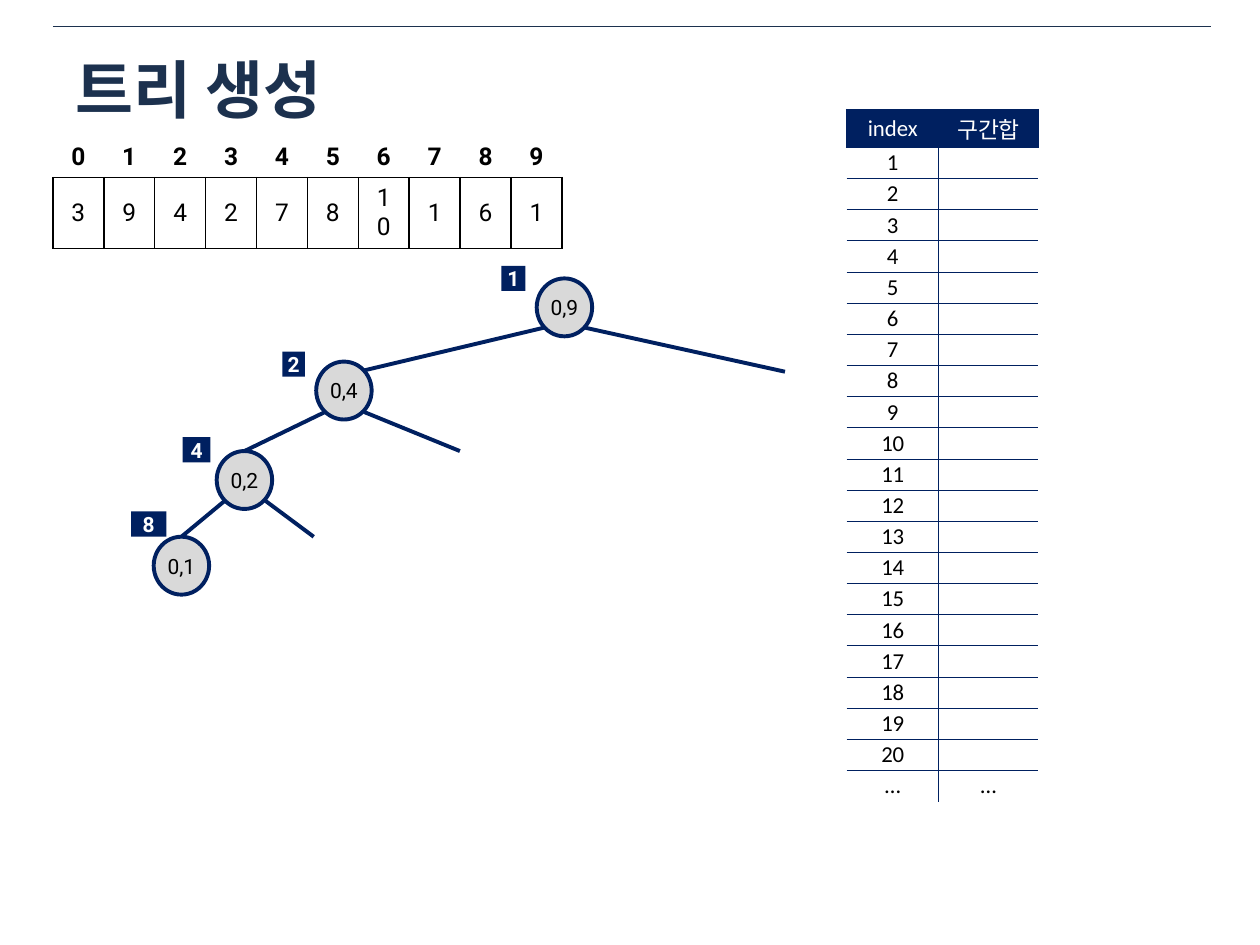
from lxml import etree
from pptx import Presentation
from pptx.dml.color import RGBColor
from pptx.enum.shapes import MSO_CONNECTOR, MSO_SHAPE
from pptx.enum.text import MSO_ANCHOR, MSO_AUTO_SIZE, PP_ALIGN
from pptx.oxml.ns import qn
from pptx.util import Inches, Pt

STRAIGHT = MSO_CONNECTOR.STRAIGHT
OVAL, RECT = MSO_SHAPE.OVAL, MSO_SHAPE.RECTANGLE
MIDDLE = MSO_ANCHOR.MIDDLE
GROW = MSO_AUTO_SIZE.SHAPE_TO_FIT_TEXT
LEFT, CENTER = PP_ALIGN.LEFT, PP_ALIGN.CENTER

NAVY = RGBColor(0x00, 0x20, 0x60)
SLATE = RGBColor(0x1C, 0x31, 0x4E)
GRAY = RGBColor(0xD9, 0xD9, 0xD9)
BLACK = RGBColor(0, 0, 0)
WHITE = RGBColor(255, 255, 255)
PLAIN = "{2D5ABB26-0587-4C30-8999-92F81FD0307C}"


def write(frame, text, size, font, color, bold=False, align=CENTER):
    para = frame.paragraphs[0]
    para.alignment = align
    run = para.add_run()
    run.text = text
    run.font.size = Pt(size)
    run.font.name = font
    run.font.bold = bold
    run.font.color.rgb = color
    return run


def edge(cell, sides, color):
    props = cell._tc.get_or_add_tcPr()
    for side in "LRTB":
        if side in sides:
            line = etree.SubElement(props, qn("a:ln" + side), w=str(Pt(sides[side])))
            fill = etree.SubElement(line, qn("a:solidFill"))
            etree.SubElement(fill, qn("a:srgbClr"), val=str(color))


prs = Presentation()
prs.slide_width, prs.slide_height = Inches(10), Inches(7.5)
slide = prs.slides.add_slide(prs.slide_layouts[5])
shapes = slide.shapes

title = shapes.title
title.left, title.top = Inches(0.5), Inches(0.33)
title.width, title.height = Inches(9), Inches(0.75)
title.text_frame.vertical_anchor = MIDDLE
head = write(title.text_frame, "트리 생성", 36, "Noto Sans CJK KR", SLATE, True, LEFT)
etree.SubElement(head.font._element, qn("a:ea"), typeface="Noto Sans CJK KR")

values = [3, 9, 4, 2, 7, 8, 10, 1, 6, 1]
count = len(values)
array = shapes.add_table(2, count, Inches(0.42), Inches(1.08), Inches(4.04), Inches(0.58)).table
index = shapes.add_table(22, 2, Inches(6.72), Inches(0.87), Inches(1.52), Inches(5.5)).table
for table in (array, index):
    table.first_row = table.horz_banding = False
    table._tbl.tblPr.find(qn("a:tableStyleId")).text = PLAIN

for col, value in enumerate(values):
    array.columns[col].width = Inches(4.04 / count)
    for row, text in enumerate((col, value)):
        cell = array.cell(row, col)
        cell.vertical_anchor = MIDDLE
        write(cell.text_frame, str(text), 14, "Roboto", BLACK, row == 0)
        edge(cell, dict.fromkeys("LRTB" if row else "B", 1), BLACK)
        cell.fill.background()

index.columns[0].width, index.columns[1].width = Inches(0.73), Inches(0.79)
labels = [("index", "구간합")] + [(str(n), "") for n in range(1, 21)] + [("…", "…")]
last = len(labels) - 1
for row, pair in enumerate(labels):
    index.rows[row].height = Inches(5.2 / last if row else 0.3)
    for col, text in enumerate(pair):
        cell = index.cell(row, col)
        cell.vertical_anchor = MIDDLE
        cell.margin_left = cell.margin_right = Inches(0.04)
        cell.margin_top = cell.margin_bottom = 0
        if text:
            write(cell.text_frame, text, 13, "Calibri", BLACK if row else WHITE)
        else:
            etree.SubElement(cell.text_frame.paragraphs[0]._p, qn("a:endParaRPr"), sz="1300")
        if row == 0:
            sides = {"LR"[col]: 1, "T": 1, "B": 1}
        else:
            sides = {"RL"[col]: 0.5, "T": 1 if row == 1 else 0.5}
            if row < last:
                sides["B"] = 0.5
        edge(cell, sides, NAVY)
        if row:
            cell.fill.background()
        else:
            cell.fill.solid()
            cell.fill.fore_color.rgb = NAVY

nodes = [("0,9", 4.26, 2.21), ("0,4", 2.51, 2.87), ("0,2", 1.72, 3.58), ("0,1", 1.22, 4.26)]
tags = [("1", 3.98, 2.11, 0.19), ("2", 2.24, 2.79, 0.18), ("4", 1.45, 3.47, 0.22), ("8", 1.04, 4.06, 0.28)]
items = [(OVAL, text, x, y, 0.44, 0.46) for text, x, y in nodes]
items += [(RECT, text, x, y, wide, 0.2) for text, x, y, wide in tags]
discs = {}
for kind, text, x, y, wide, high in items:
    shape = shapes.add_shape(kind, Inches(x), Inches(y), Inches(wide), Inches(high))
    shape.shadow.inherit = False
    shape.fill.solid()
    frame = shape.text_frame
    frame.margin_left = frame.margin_right = frame.margin_top = frame.margin_bottom = 0
    frame.vertical_anchor = MIDDLE
    if kind == OVAL:
        shape.fill.fore_color.rgb = GRAY
        shape.line.color.rgb = NAVY
        shape.line.width = Pt(2.25)
        write(frame, text, 12, "Roboto", BLACK)
        discs[text] = shape
    else:
        shape.fill.fore_color.rgb = NAVY
        shape.line.fill.background()
        frame.auto_size = GROW
        write(frame, text, 12, "Roboto", WHITE, True)

lines = [
    (0.42, 0.21, 9.61, 0.21, SLATE, 0.25, None),
    (2.89, 2.94, 4.32, 2.6, NAVY, 2.25, None),
    (2.58, 3.27, 1.95, 3.58, NAVY, 2.25, "0,2"),
    (1.79, 3.97, 1.44, 4.26, NAVY, 2.25, "0,1"),
    (2.1, 3.97, 2.49, 4.26, NAVY, 2.25, None),
    (6.23, 2.95, 4.64, 2.6, NAVY, 2.25, None),
    (3.65, 3.58, 2.89, 3.27, NAVY, 2.25, None),
]
for x1, y1, x2, y2, color, width, child in lines:
    line = shapes.add_connector(STRAIGHT, Inches(x1), Inches(y1), Inches(x2), Inches(y2))
    line.line.color.rgb = color
    line.line.width = Pt(width)
    etree.SubElement(line._element.spPr, qn("a:effectLst"))
    if child:
        line.end_connect(discs[child], 0)

prs.save("out.pptx")
